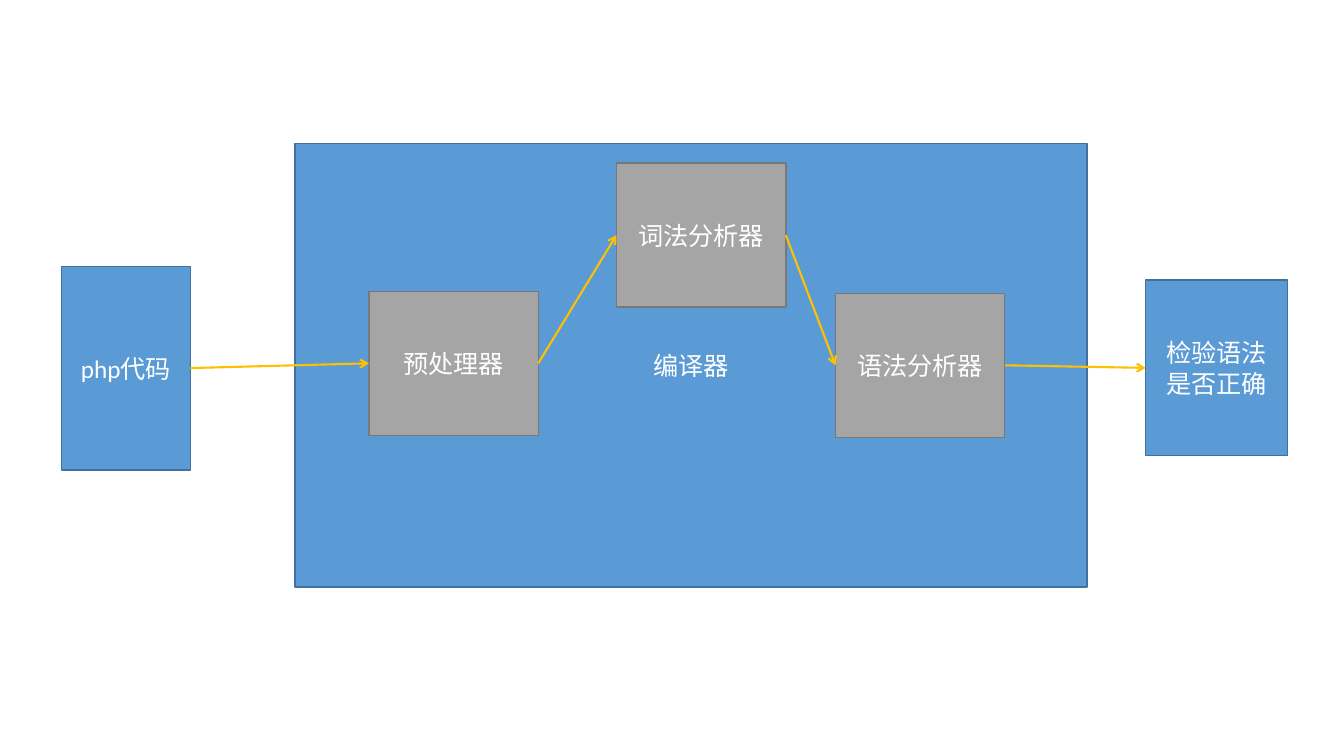
from itertools import pairwise

from lxml import etree
from pptx import Presentation
from pptx.dml.color import RGBColor
from pptx.enum.shapes import MSO_CONNECTOR, MSO_SHAPE
from pptx.enum.text import MSO_ANCHOR, PP_ALIGN
from pptx.oxml.ns import qn
from pptx.util import Cm, Pt

PROCESS = MSO_SHAPE.FLOWCHART_PROCESS
STRAIGHT = MSO_CONNECTOR.STRAIGHT
MIDDLE = MSO_ANCHOR.MIDDLE
CENTER = PP_ALIGN.CENTER

BLUE = RGBColor(0x5B, 0x9B, 0xD5)
NAVY = RGBColor(0x41, 0x71, 0x9C)
GRAY = RGBColor(0xA5, 0xA5, 0xA5)
DARK = RGBColor(0x78, 0x78, 0x78)
GOLD = RGBColor(0xFF, 0xC0, 0x00)
WHITE = RGBColor(0xFF, 0xFF, 0xFF)

LEFT, RIGHT = 1, 3
STAGE = (4.27, 3.63)


class Chart:
    font = "Calibri"
    size = Pt(18)

    def __init__(self, slide):
        self.slide = slide

    def box(self, text, left, top, width, height, fill=BLUE, edge=NAVY):
        shape = self.slide.shapes.add_shape(
            PROCESS, Cm(left), Cm(top), Cm(width), Cm(height))
        shape.shadow.inherit = False
        shape.fill.solid()
        shape.fill.fore_color.rgb = fill
        shape.line.color.rgb = edge
        shape.line.width = Pt(1)
        frame = shape.text_frame
        frame.word_wrap = True
        frame.vertical_anchor = MIDDLE
        para = frame.paragraphs[0]
        para.alignment = CENTER
        run = para.add_run()
        run.text = text
        run.font.name = self.font
        run.font.size = self.size
        run.font.color.rgb = WHITE
        return shape

    def stage(self, text, left, top):
        return self.box(text, left, top, *STAGE, GRAY, DARK)

    def arrow(self, start, end):
        link = self.slide.shapes.add_connector(STRAIGHT, 0, 0, 0, 0)
        link.begin_connect(start, RIGHT)
        link.end_connect(end, LEFT)
        link.line.color.rgb = GOLD
        link.line.width = Pt(1.5)
        tip = etree.SubElement(link.get_or_add_ln(), qn("a:tailEnd"))
        tip.set("type", "arrow")
        etree.SubElement(link._element.spPr, qn("a:effectLst"))


def main():
    deck = Presentation()
    deck.slide_width = Cm(33.88)
    deck.slide_height = Cm(19.05)
    chart = Chart(deck.slides.add_slide(deck.slide_layouts[6]))

    chart.box("编译器", 7.44, 3.61, 19.96, 11.18)
    steps = [
        chart.box("php代码", 1.55, 6.71, 3.25, 5.13),
        chart.stage("预处理器", 9.3, 7.34),
        chart.stage("词法分析器", 15.54, 4.11),
        chart.stage("语法分析器", 21.06, 7.39),
        chart.box("检验语法是否正确", 28.88, 7.06, 3.58, 4.42),
    ]
    for start, end in pairwise(steps):
        chart.arrow(start, end)

    deck.save("out.pptx")


if __name__ == "__main__":
    main()
